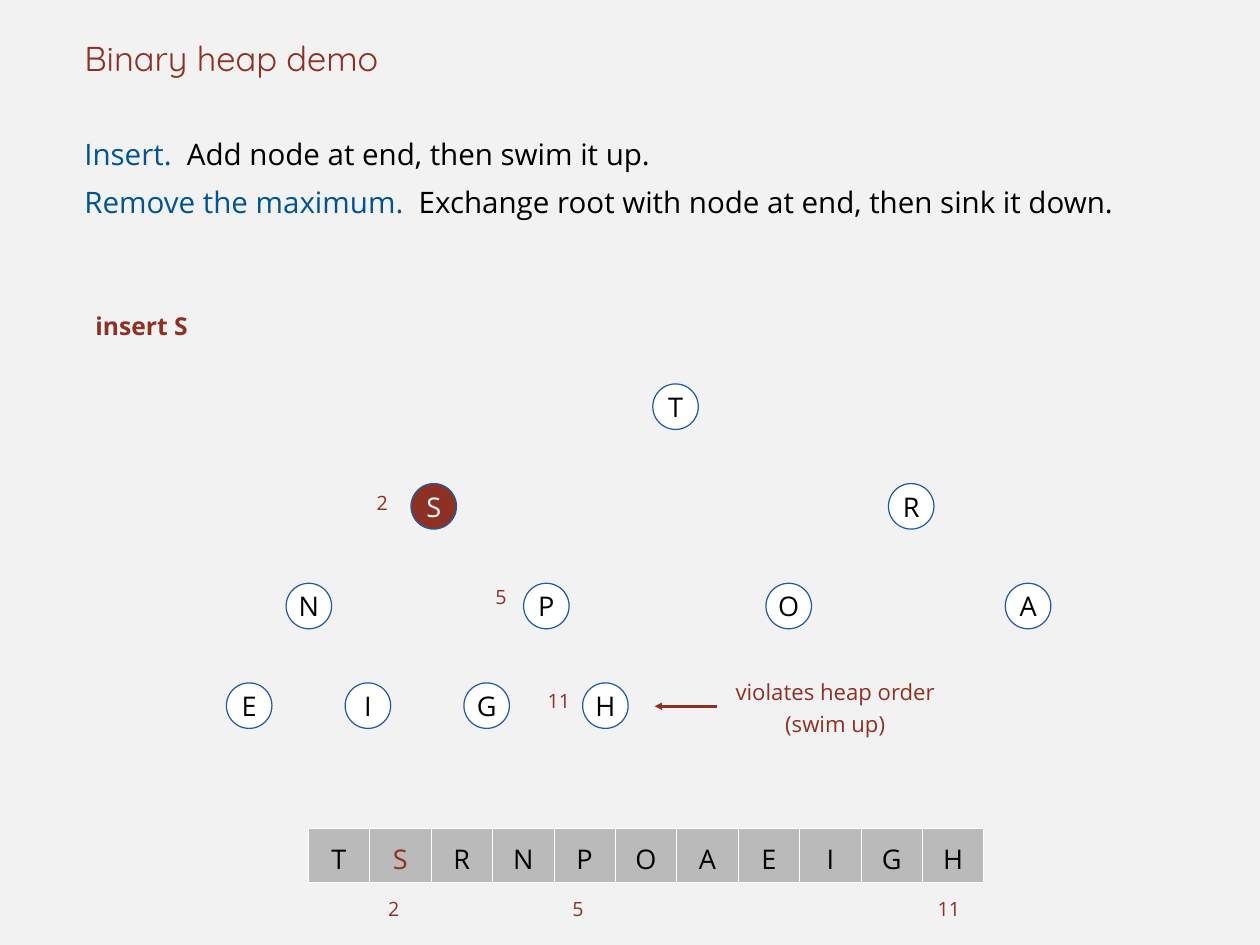
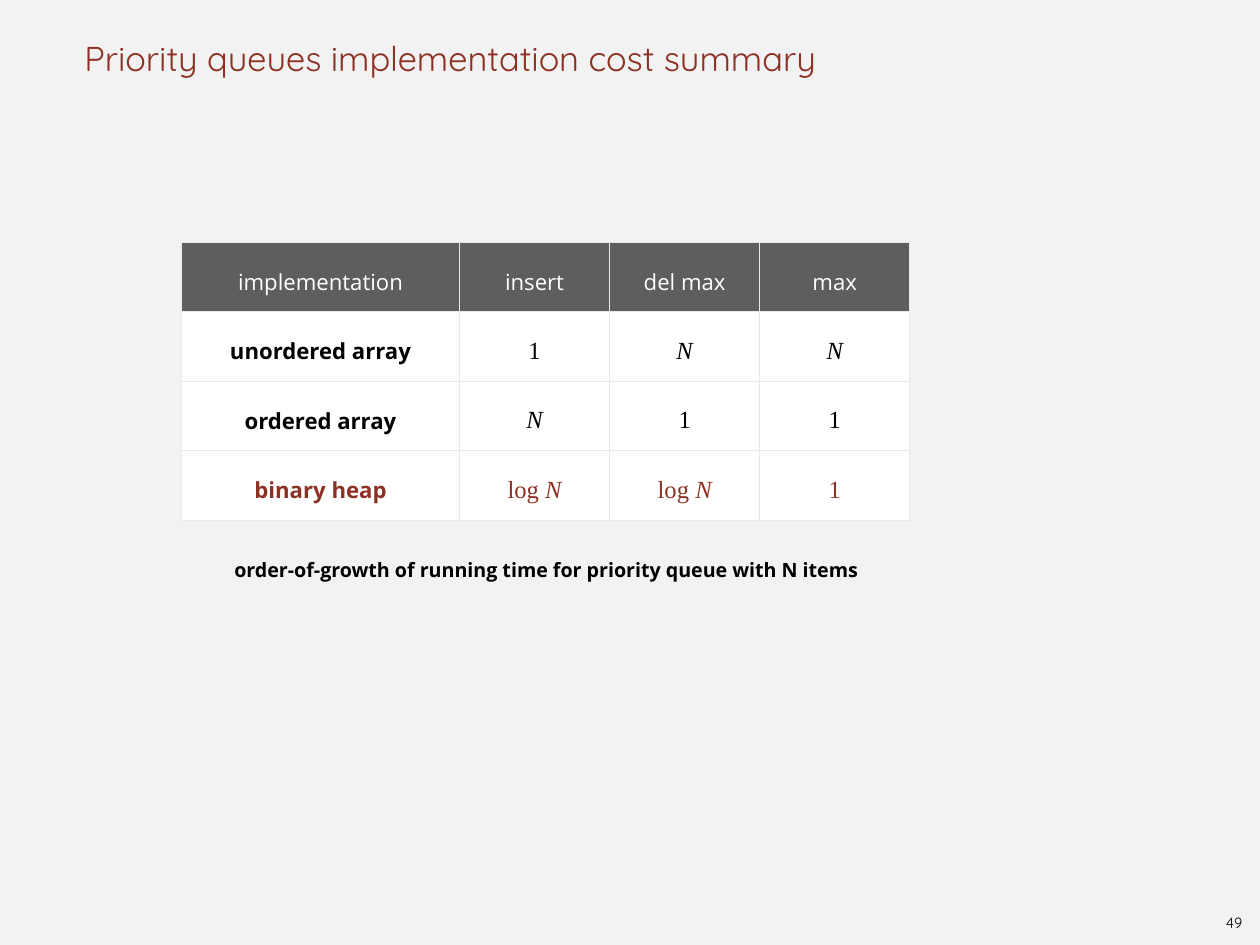
import pptx
import pptx.dml.color
import pptx.enum.shapes
import pptx.enum.text
import pptx.oxml
import pptx.oxml.ns
import pptx.util

Pt = pptx.util.Pt
ALIGN = pptx.enum.text.PP_ALIGN
ANCHOR = pptx.enum.text.MSO_ANCHOR
SHAPE = pptx.enum.shapes.MSO_SHAPE

PAPER, RED, BLUE, OUTLINE = "F2F2F2", "8D3124", "005493", "1F5AA6"
BLACK, WHITE, CELL_GRAY, HEADER_GRAY, RULE = "000000", "FFFFFF", "BABABA", "5E5E5E", "E7EAEB"
INDENT = 4.5

TITLE = {"name": "Quicksand", "size": Pt(28), "color": RED}
PAGE_NUMBER = {"name": "Quicksand", "size": Pt(12), "color": BLACK}
BODY = {"name": "Open Sans", "size": Pt(24), "color": BLACK}
LEAD = {**BODY, "color": BLUE}
KEY = {**BODY, "size": Pt(22)}
INDEX = {**BODY, "size": Pt(16), "color": RED}
STEP = {**BODY, "size": Pt(20), "color": RED, "bold": True}
NOTE = {**BODY, "size": Pt(18), "color": RED}
CAPTION = {**BODY, "size": Pt(16), "bold": True}
HEADER = {**BODY, "size": Pt(18), "color": WHITE}
METHOD = {**BODY, "size": Pt(18), "bold": True}
COST = {"name": "Times New Roman", "size": Pt(20), "color": BLACK}

HEAP = "TSRNPOAEIGH"
INSERTED = 2
CENTERS = [365, 168.5, 556.5, 67, 260, 457, 651.5] + [18.5 + 96.5 * leaf for leaf in range(4)]
INDEX_OFFSETS = {2: (-51, -13), 5: (-46, -17), 11: (-51.5, -14)}

COSTS = [
    ("unordered array", "1", "N", "N"),
    ("ordered array", "N", "1", "1"),
    ("binary heap", "log N", "log N", "1"),
]


def rgb(hex_color):
    return pptx.dml.color.RGBColor.from_string(hex_color)


def set_values(target, values):
    for name, value in values.items():
        if name == "color":
            target.color.rgb = rgb(value)
        else:
            setattr(target, name, value)


def fill_with(fill, color):
    fill.solid()
    fill.fore_color.rgb = rgb(color)


def write(frame, paragraphs, align=ALIGN.LEFT, spacing=1.0, anchor=ANCHOR.TOP, inset=0):
    set_values(frame, {
        "word_wrap": True, "vertical_anchor": anchor, "margin_left": Pt(inset),
        "margin_right": 0, "margin_top": 0, "margin_bottom": 0,
    })
    for number, pieces in enumerate(paragraphs):
        paragraph = frame.add_paragraph() if number else frame.paragraphs[0]
        set_values(paragraph, {"alignment": align, "line_spacing": spacing})
        for words, style in pieces:
            run = paragraph.add_run()
            run.text = words
            set_values(run.font, style)


def add_text(slide, box, paragraphs, inset=INDENT, **layout):
    text = slide.shapes.add_textbox(*map(Pt, box))
    write(text.text_frame, paragraphs, inset=inset, **layout)
    return text


def add_key(slide, preset, box, letter, fill, line, width, color, spacing=1.0):
    shape = slide.shapes.add_shape(preset, *map(Pt, box))
    shape.shadow.inherit = False
    fill_with(shape.fill, fill)
    set_values(shape.line, {"color": line, "width": Pt(width)})
    write(shape.text_frame, [[(letter, {**KEY, "color": color})]],
          align=ALIGN.CENTER, anchor=ANCHOR.MIDDLE, spacing=spacing)


def add_index(slide, left, top, index, spacing=1.0):
    add_text(slide, (left, top, 34, 26), [[(str(index), INDEX)]], spacing=spacing)


def start_slide(deck, title):
    slide = deck.slides.add_slide(deck.slide_layouts[6])
    fill_with(slide.background.fill, PAPER)
    add_text(slide, (64, 0, 896, 64), [[(title, TITLE)]], anchor=ANCHOR.BOTTOM)
    return slide


def add_operations(slide, box, operations):
    body = add_text(slide, box, [
        [(lead, LEAD), (" ", LEAD), (rule, BODY)] for lead, rule in operations
    ], spacing=Pt(39))
    for paragraph in body.text_frame.paragraphs:
        gap = paragraph.runs[1]
        gap._r.get_or_add_rPr().set("spc", "620")


def add_tree(slide, box):
    left, top, _, height = box
    diameter = 37
    level_gap = (height - diameter) / 3
    for index, (letter, center) in enumerate(zip(HEAP, CENTERS), 1):
        x = left + center
        y = top + diameter / 2 + level_gap * (index.bit_length() - 1)
        inserted = index == INSERTED
        add_key(slide, SHAPE.OVAL, (x - diameter / 2, y - diameter / 2, diameter, diameter),
                letter, RED if inserted else WHITE, OUTLINE, 1, WHITE if inserted else BLACK)
        if index in INDEX_OFFSETS:
            across, down = INDEX_OFFSETS[index]
            add_index(slide, x + across, y + down, index)


def add_array(slide, box):
    left, top, width, height = box
    pitch = width / len(HEAP)
    for index, letter in enumerate(HEAP, 1):
        x = left + pitch * (index - 1)
        add_key(slide, SHAPE.RECTANGLE, (x, top, pitch, height), letter, CELL_GRAY,
                WHITE, 0.5, RED if index == INSERTED else BLACK, 1.2)
        if index in INDEX_OFFSETS:
            add_index(slide, x + (10.5 if index < 10 else 8), top + height + 2, index, 1.5)


def add_violation(slide, box):
    left, top, width, height = box
    arrow_length = 51
    middle = top + height / 2
    add_text(slide, (left + arrow_length, top, width - arrow_length, height),
             [[("violates heap order", NOTE)], [("(swim up)", NOTE)]],
             align=ALIGN.CENTER, spacing=1.2)
    arrow = slide.shapes.add_connector(
        pptx.enum.shapes.MSO_CONNECTOR.STRAIGHT,
        Pt(left), Pt(middle), Pt(left + arrow_length), Pt(middle))
    set_values(arrow.line, {"color": RED, "width": Pt(2)})
    line = arrow.line._get_or_add_ln()
    line.append(line.makeelement(pptx.oxml.ns.qn("a:headEnd"), {"type": "triangle"}))
    properties = arrow._element.spPr
    properties.append(properties.makeelement(pptx.oxml.ns.qn("a:effectLst"), {}))


def add_borders(cell):
    properties = cell._tc.get_or_add_tcPr()
    for position, side in enumerate(("lnL", "lnR", "lnT", "lnB")):
        properties.insert(position, pptx.oxml.parse_xml(
            f'<a:{side} {pptx.oxml.ns.nsdecls("a")} w="{Pt(1)}"><a:solidFill>'
            f'<a:srgbClr val="{RULE}"/></a:solidFill></a:{side}>'))


def cost_pieces(cost, color):
    upright = {**COST, "color": color}
    prefix, variable, _ = cost.partition("N")
    pieces = [(prefix, upright), (variable, {**upright, "italic": True})]
    return [piece for piece in pieces if piece[0]]


def add_cost_table(slide, box):
    left, top, width, height = box
    rows = [[[(heading, HEADER)] for heading in ("implementation", "insert", "del max", "max")]]
    for method, *costs in COSTS:
        color = RED if method == "binary heap" else BLACK
        rows.append([[(method, {**METHOD, "color": color})]]
                    + [cost_pieces(cost, color) for cost in costs])
    table = slide.shapes.add_table(len(rows), len(rows[0]), *map(Pt, box)).table
    set_values(table, {"first_row": False, "horz_banding": False})
    cost_width = 122
    for number, column in enumerate(table.columns):
        column.width = Pt(cost_width if number else width - 3 * cost_width)
    for number, pieces_by_cell in enumerate(rows):
        table.rows[number].height = Pt(height / len(rows))
        for cell, pieces in zip(table.rows[number].cells, pieces_by_cell):
            write(cell.text_frame, [pieces], align=ALIGN.CENTER, spacing=1.3)
            set_values(cell, {
                "vertical_anchor": ANCHOR.MIDDLE, "margin_left": Pt(INDENT),
                "margin_right": Pt(INDENT), "margin_top": Pt(INDENT), "margin_bottom": Pt(INDENT),
            })
            fill_with(cell.fill, WHITE if number else HEADER_GRAY)
            add_borders(cell)


def build_demo(deck):
    slide = start_slide(deck, "Binary heap demo")
    add_operations(slide, (64, 100, 896, 640), [
        ("Insert.", "Add node at end, then swim it up."),
        ("Remove the maximum.", "Exchange root with node at end, then sink it down."),
    ])
    add_text(slide, (73, 253, 110, 31), [[("insert S", STEP)]])
    add_tree(slide, (184, 312, 670, 280))
    add_violation(slide, (532, 547, 238, 54))
    add_array(slide, (250.5, 673, 549, 44))


def build_summary(deck):
    slide = start_slide(deck, "Priority queues implementation cost summary")
    add_cost_table(slide, (147.5, 197, 592, 226))
    add_text(slide, (147.5, 444, 593, 26),
             [[("order-of-growth of running time for priority queue with N items", CAPTION)]],
             inset=0, align=ALIGN.CENTER, spacing=1.5)
    add_text(slide, (991, 738, 24, 23), [[("49", PAGE_NUMBER)]],
             inset=0, align=ALIGN.CENTER, anchor=ANCHOR.MIDDLE)


def main():
    deck = pptx.Presentation()
    set_values(deck, {"slide_width": Pt(1024), "slide_height": Pt(768)})
    build_demo(deck)
    build_summary(deck)
    deck.save("out.pptx")


if __name__ == "__main__":
    main()
